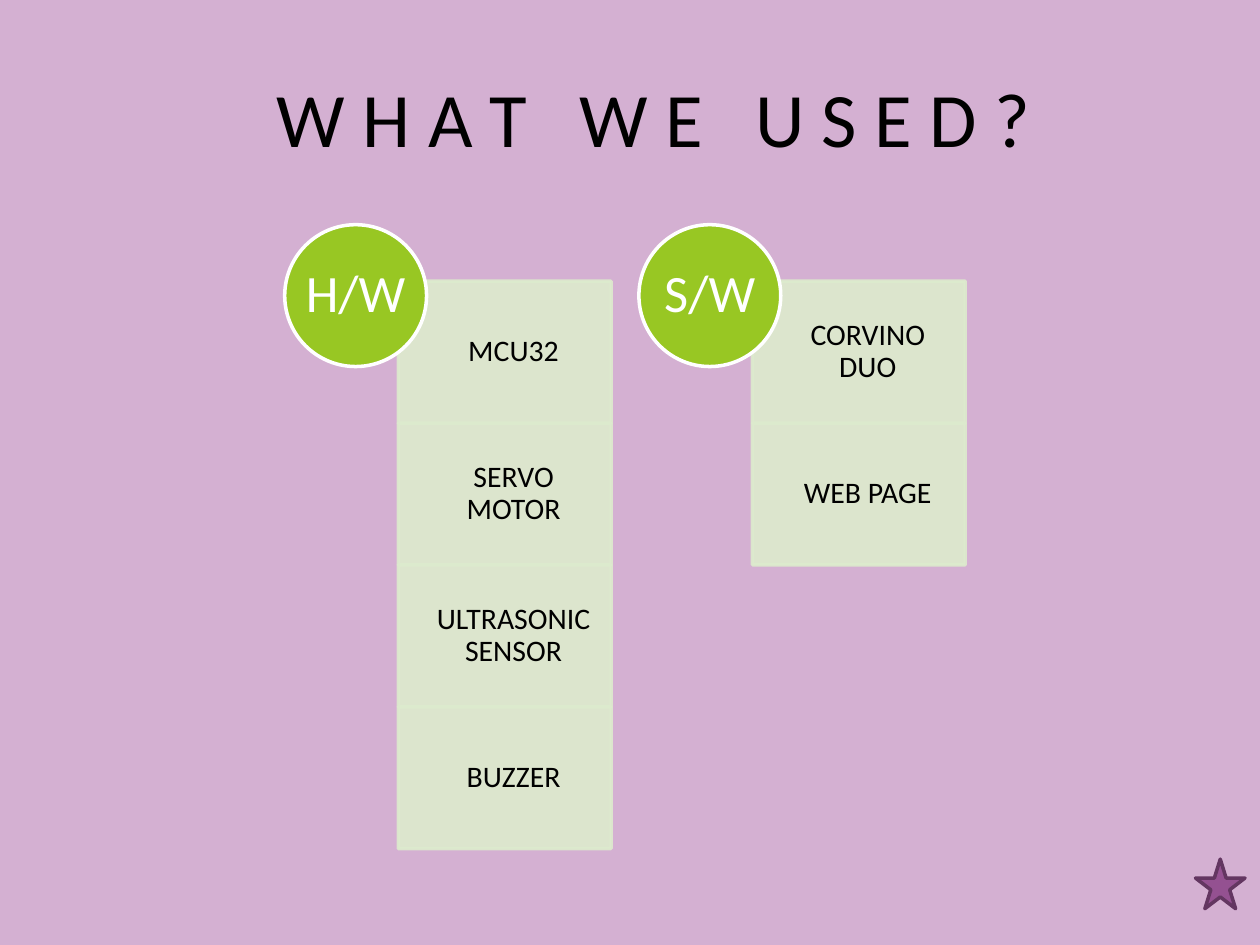
from lxml.etree import SubElement
from pptx import Presentation
from pptx.dml.color import RGBColor
from pptx.enum.shapes import MSO_SHAPE as Shape
from pptx.enum.text import MSO_ANCHOR as Anchor, PP_ALIGN as Align
from pptx.oxml.ns import qn
from pptx.util import Cm, Pt

COLORS = {
    "background": "D4B0D2",
    "text": "000000",
    "item": "DDEBCD",
    "badge": "98C723",
    "white": "FFFFFF",
    "star": "945191",
    "star_edge": "633661",
}
FONT = "Calibri"
COLUMNS = {
    "H/W": ["MCU32", "SERVO MOTOR", "ULTRASONIC SENSOR", "BUZZER"],
    "S/W": ["CORVINO DUO", "WEB PAGE"],
}


def add_figure(kind, left, top, width, height, fill, edge):
    figure = slide.shapes.add_shape(kind, Cm(left), Cm(top), Cm(width), Cm(height))
    figure.shadow.inherit = False
    figure.fill.solid()
    figure.fill.fore_color.rgb = RGBColor.from_string(COLORS[fill])
    figure.line.color.rgb = RGBColor.from_string(COLORS[edge])
    figure.line.width = Pt(2)
    return figure


def write(figure, text, size, color, margins):
    frame = figure.text_frame
    frame.word_wrap = True
    frame.vertical_anchor = Anchor.MIDDLE
    frame.margin_left, frame.margin_top, frame.margin_right, frame.margin_bottom = map(Cm, margins)
    frame.text = text
    paragraph = frame.paragraphs[0]
    paragraph.alignment = Align.CENTER
    paragraph.font.name = FONT
    paragraph.font.size = Pt(size)
    paragraph.font.color.rgb = RGBColor.from_string(COLORS[color])
    return paragraph


prs = Presentation()
prs.slide_width, prs.slide_height = Cm(25.4), Cm(19.05)
slide = prs.slides.add_slide(prs.slide_layouts[5])
slide.background.fill.solid()
slide.background.fill.fore_color.rgb = RGBColor.from_string(COLORS["background"])

# Title, letter-spaced and set slightly right of centre
title = slide.shapes.title
title.left, title.top, title.width, title.height = Cm(1.27), Cm(0.76), Cm(22.86), Cm(3.18)
write(title, " ".join("WHAT WE USED?"), 44, "text", (1.22, 0.13, 0.25, 0.13))

# Columns: stacked items with a round badge over the top left corner
item_height = 2.86
for column, (category, items) in enumerate(COLUMNS.items()):
    left = 8.03 + column * 7.14
    for row, item in enumerate(items):
        box = add_figure(Shape.RECTANGLE, left, 5.67 + row * item_height,
                         4.29, item_height, "item", "item")
        for color in box.fill._xPr.iter(qn("a:srgbClr")):
            SubElement(color, qn("a:alpha"), val="90000")
        write(box, item, 17, "text", (0.69, 0.33, 0.33, 0.33)).line_spacing = 0.9
    badge = add_figure(Shape.OVAL, left - 2.29, 4.53, item_height, item_height, "badge", "white")
    write(badge, category, 30, "white", (0, 0, 0, 0)).line_spacing = 0.9

# Corner star
add_figure(Shape.STAR_5_POINT, 24.1, 17.32, 1, 1, "star", "star_edge")

prs.save("out.pptx")
